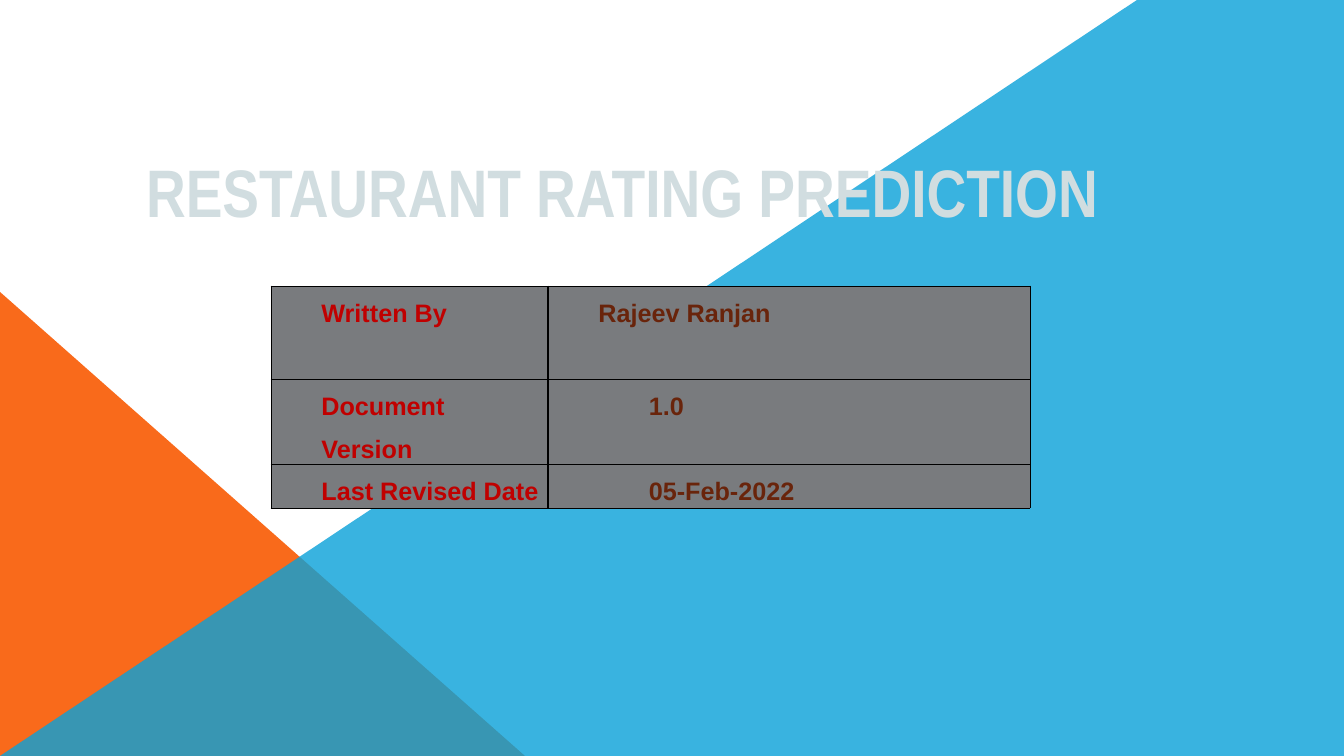
import pptx
import pptx.util
import pptx.dml.color
import pptx.enum.shapes
import pptx.enum.text
import pptx.oxml
import pptx.oxml.ns

ALIGN = pptx.enum.text.PP_ALIGN
ANCHOR = pptx.enum.text.MSO_ANCHOR
EMU_PER_PX = 914400 / 100.8

SLIDE_SIZE = (1344, 756)
HEADLINE = "RESTAURANT RATING PREDICTION"
HEADLINE_BOX = (136, 149, 1008, 98)
HEADLINE_FONT = {"name": "Arial Narrow", "size": pptx.util.Pt(48), "bold": True}
ORANGE_BOX = (0, 292, 525, 464)
BLUE_CORNERS = [(0, 756), (1137, 0), (1344, 0), (1344, 756)]

DETAILS = [
    (("Written By", 0.5, ALIGN.JUSTIFY, 1), ("Rajeev Ranjan", 0.5, ALIGN.LEFT, 0)),
    (("Document Version", 0.5, ALIGN.JUSTIFY, 1), ("1.0", 1, ALIGN.LEFT, 1)),
    (("Last Revised Date", 0.5, ALIGN.JUSTIFY, 1), ("05-Feb-2022", 1, ALIGN.JUSTIFY, 1)),
]
DETAILS_CORNER = (271, 286)
COLUMN_WIDTHS = [277, 482]
ROW_HEIGHTS = [93, 85, 44]
COLUMN_COLORS = ["C00000", "69240B"]
DETAIL_FONT = {"name": "Arial", "size": pptx.util.Pt(18), "bold": True}
CELL_FORMAT = {"margin_left": 0, "margin_top": 0, "margin_bottom": 0,
               "vertical_anchor": ANCHOR.TOP}
CELL_RIGHT_MARGIN = 8
BORDER_WIDTH = pptx.util.Pt(0.5)
DIVIDER_WIDTH = pptx.util.Pt(1)


def px(length):
    return pptx.util.Emu(round(length * EMU_PER_PX))


def color(hex_text):
    return pptx.dml.color.RGBColor.from_string(hex_text)


def apply(target, values):
    for key, value in values.items():
        setattr(target, key, value)


def paint(area, hex_text):
    area.fill.solid()
    area.fill.fore_color.rgb = color(hex_text)


def border(side, width, hex_text):
    return pptx.oxml.parse_xml(
        f'<a:{side} {pptx.oxml.ns.nsdecls("a")} w="{width}"><a:solidFill>'
        f'<a:srgbClr val="{hex_text}"/></a:solidFill></a:{side}>')


def write(paragraph, text, font, hex_text):
    run = paragraph.add_run()
    run.text = text
    apply(run.font, font)
    run.font.color.rgb = color(hex_text)


def add_background(slide):
    orange = slide.shapes.add_shape(
        pptx.enum.shapes.MSO_SHAPE.RIGHT_TRIANGLE, *map(px, ORANGE_BOX))
    builder = slide.shapes.build_freeform(*BLUE_CORNERS[0], scale=EMU_PER_PX)
    builder.add_line_segments(BLUE_CORNERS[1:], close=True)
    blue = builder.convert_to_shape()
    for area, hex_text in ((orange, "F96A1B"), (blue, "08A1D9")):
        paint(area, hex_text)
        area.line.fill.background()
        area.shadow.inherit = False
    tint = blue.fill._xPr.find(".//" + pptx.oxml.ns.qn("a:srgbClr"))
    tint.append(pptx.oxml.parse_xml(f'<a:alpha {pptx.oxml.ns.nsdecls("a")} val="80000"/>'))


def add_headline(slide):
    headline = slide.shapes.title
    apply(headline, dict(zip(("left", "top", "width", "height"), map(px, HEADLINE_BOX))))
    apply(headline.text_frame, {
        "word_wrap": True, "vertical_anchor": ANCHOR.MIDDLE,
        "auto_size": pptx.enum.text.MSO_AUTO_SIZE.NONE})
    paragraph = headline.text_frame.paragraphs[0]
    apply(paragraph, {"alignment": ALIGN.LEFT, "line_spacing": 0.8})
    write(paragraph, HEADLINE, HEADLINE_FONT, "D1DDE0")
    slide.shapes._spTree.append(headline._element)


def fill_cell(cell, detail, hex_text, border_widths):
    text, indent, alignment, level = detail
    apply(cell, CELL_FORMAT)
    cell.margin_right = px(CELL_RIGHT_MARGIN)
    paragraph = cell.text_frame.paragraphs[0]
    apply(paragraph, {"alignment": alignment, "level": level, "line_spacing": 1.5})
    properties = paragraph._p.get_or_add_pPr()
    properties.set("marL", str(pptx.util.Inches(indent)))
    properties.set("indent", "0")
    write(paragraph, text, DETAIL_FONT, hex_text)
    borders = cell._tc.get_or_add_tcPr()
    for side, width in zip(("lnL", "lnR", "lnT", "lnB"), border_widths):
        borders.append(border(side, width, "000000"))
    paint(cell, "797B7E")


def add_details(slide):
    size = (sum(COLUMN_WIDTHS), sum(ROW_HEIGHTS))
    details = slide.shapes.add_table(
        len(DETAILS), len(COLUMN_WIDTHS), *map(px, DETAILS_CORNER + size)).table
    for column, width in zip(details.columns, COLUMN_WIDTHS):
        column.width = px(width)
    side_widths = [(BORDER_WIDTH, DIVIDER_WIDTH), (DIVIDER_WIDTH, BORDER_WIDTH)]
    for row, height, entries in zip(details.rows, ROW_HEIGHTS, DETAILS):
        row.height = px(height)
        for cell, detail, hex_text, sides in zip(
                row.cells, entries, COLUMN_COLORS, side_widths):
            fill_cell(cell, detail, hex_text, sides + (BORDER_WIDTH, BORDER_WIDTH))


def main():
    deck = pptx.Presentation()
    deck.slide_width, deck.slide_height = map(px, SLIDE_SIZE)
    slide = deck.slides.add_slide(deck.slide_layouts[0])
    subtitle = slide.placeholders[1]._element
    subtitle.getparent().remove(subtitle)
    add_background(slide)
    add_headline(slide)
    add_details(slide)
    deck.save("out.pptx")


if __name__ == "__main__":
    main()
